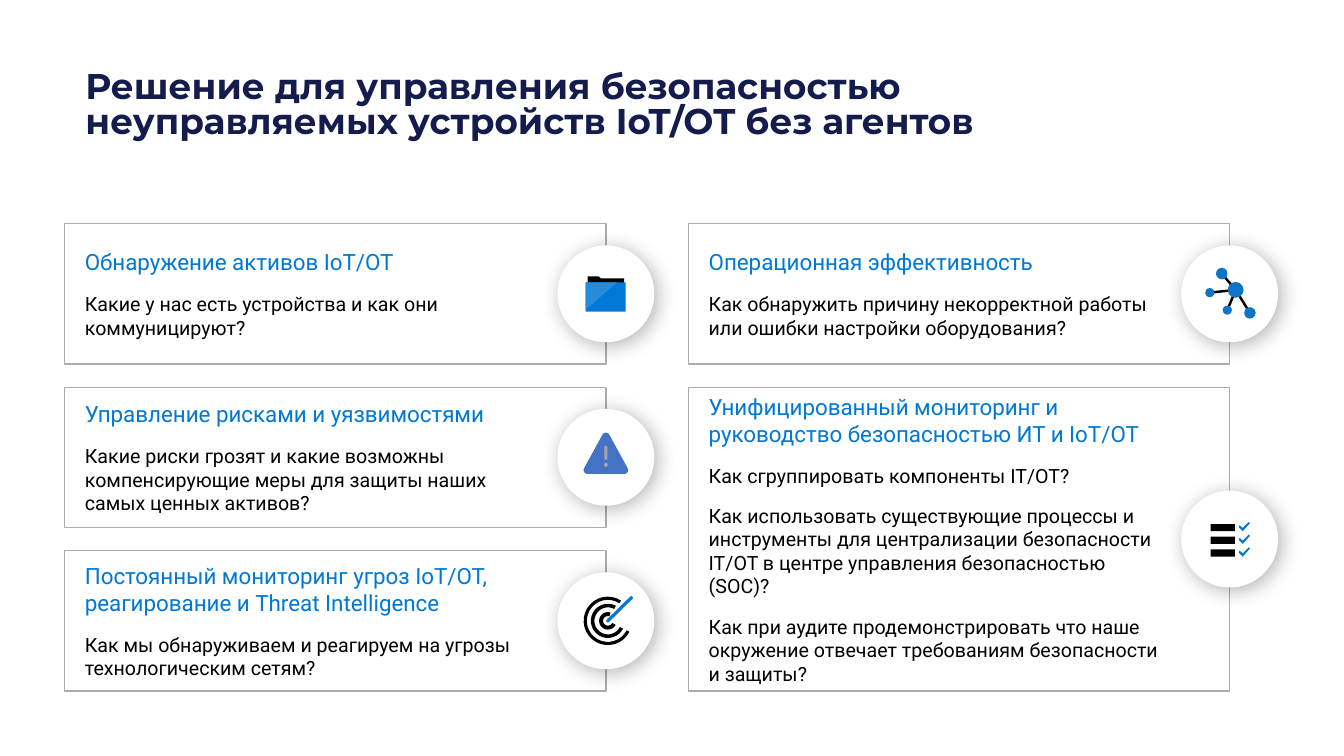
from math import cos, radians, sin

from pptx import Presentation
from pptx.dml.color import RGBColor
from pptx.enum.shapes import MSO_CONNECTOR, MSO_SHAPE as Shape
from pptx.enum.text import MSO_ANCHOR as Anchor, MSO_AUTO_SIZE, PP_ALIGN as Align
from pptx.oxml import parse_xml
from pptx.oxml.ns import nsdecls
from pptx.util import Cm, Pt

NAVY = RGBColor(0x14, 0x1B, 0x4D)
BLUE = RGBColor(0x00, 0x78, 0xD4)
FOLDER_BLUE = RGBColor(0x00, 0x78, 0xD7)
LIGHT_BLUE = RGBColor(0x26, 0x8C, 0xDA)
NODE_BLUE = RGBColor(0x0F, 0x74, 0xC4)
WARNING_BLUE = RGBColor(0x44, 0x72, 0xC4)
BLACK = RGBColor(0x00, 0x00, 0x00)
WHITE = RGBColor(0xFF, 0xFF, 0xFF)
GRAY = RGBColor(0xA5, 0xA5, 0xA5)
BORDER = RGBColor(0xAF, 0xAB, 0xAB)

SHADOW = (f'<a:outerShdw {nsdecls("a")} blurRad="{Pt(15)}" dist="{Pt(3)}" dir="2700000" '
          'algn="tl" rotWithShape="0"><a:srgbClr val="000000"><a:alpha val="30000"/>'
          '</a:srgbClr></a:outerShdw>')

# Card grid, in cm
COLUMNS = (1.63, 17.35)
TOP, PITCH = 5.64, 4.12
CARD_W, CARD_H = 13.64, 3.53
BADGE = 2.44


def arc(cx, cy, radius, start, end, steps=24):
    """Points on a circle from start to end degrees, clockwise on the slide."""
    angles = [radians(start + (end - start) * i / steps) for i in range(steps + 1)]
    return [(cx + radius * cos(a), cy + radius * sin(a)) for a in angles]


class Deck:
    title_font, text_font = "Montserrat", "Roboto"

    def __init__(self):
        self.prs = Presentation()
        self.prs.slide_width, self.prs.slide_height = Cm(33.87), Cm(19.05)
        self.s = self.prs.slides.add_slide(self.prs.slide_layouts[5])
        self.shapes = self.s.shapes
        self.x = self.y = 0

    def title(self, text):
        sp = self.s.shapes.title
        sp.left, sp.top, sp.width, sp.height = Cm(1.9), Cm(1.7), Cm(25.4), Cm(2.29)
        tf = sp.text_frame
        tf.text = text
        tf.word_wrap, tf.auto_size = True, MSO_AUTO_SIZE.NONE
        tf.vertical_anchor = Anchor.TOP
        p = tf.paragraphs[0]
        p.alignment, p.line_spacing, p.space_before = Align.LEFT, 0.8, Pt(0)
        p.font.name, p.font.size, p.font.bold = self.title_font, Pt(25.5), True
        p.font.color.rgb = NAVY

    def paint(self, sp, fill):
        sp.shadow.inherit = False
        sp.fill.solid()
        sp.fill.fore_color.rgb = fill
        sp.line.fill.background()
        return sp

    def shape(self, kind, left, top, width, height, fill):
        """Preset shape placed relative to the current centre."""
        sp = self.shapes.add_shape(kind, Cm(self.x + left), Cm(self.y + top),
                                   Cm(width), Cm(height))
        return self.paint(sp, fill)

    def dot(self, cx, cy, size, fill):
        return self.shape(Shape.OVAL, cx - size / 2, cy - size / 2, size, size, fill)

    def polygon(self, points, fill):
        points = [(Cm(self.x + px), Cm(self.y + py)) for px, py in points]
        builder = self.shapes.build_freeform(*points[0], scale=1.0)
        builder.add_line_segments(points[1:], close=True)
        return self.paint(builder.convert_to_shape(), fill)

    def line(self, start, end, color):
        c = self.shapes.add_connector(
            MSO_CONNECTOR.STRAIGHT, Cm(self.x + start[0]), Cm(self.y + start[1]),
            Cm(self.x + end[0]), Cm(self.y + end[1]))
        c.line.color.rgb, c.line.width = color, Pt(1.75)
        c._element.spPr.append(parse_xml(f'<a:effectLst {nsdecls("a")}/>'))

    def card(self, column, row, span, heading, questions, icon):
        left, top = COLUMNS[column], TOP + PITCH * row
        height = CARD_H + PITCH * (span - 1)
        self.shapes = self.s.shapes.add_group_shape().shapes
        self.x = self.y = 0
        sp = self.shape(Shape.RECTANGLE, left, top, CARD_W, height, WHITE)
        sp.line.color.rgb, sp.line.width = BORDER, Pt(1)
        tf = sp.text_frame
        tf.word_wrap, tf.vertical_anchor = True, Anchor.MIDDLE
        tf.margin_left, tf.margin_right = Cm(0.51), Cm(1.52)
        tf.margin_top = tf.margin_bottom = Cm(0.41)
        for i, text in enumerate([heading, *questions]):
            p = tf.add_paragraph() if i else tf.paragraphs[0]
            p.text = text
            p.alignment, p.space_after = Align.LEFT, Pt(12)
            p.font.name, p.font.size = self.text_font, Pt(14 if i else 16)
            p.font.color.rgb = BLACK if i else BLUE

        # Round badge centred on the right edge
        self.x, self.y = left + CARD_W, top + height / 2
        badge = self.dot(0, 0, BADGE, WHITE)
        badge._element.spPr.effectLst.append(parse_xml(SHADOW))
        icon(self)


def folder_icon(d):
    d.polygon([(-0.46, -0.44), (-0.18, -0.44), (-0.13, -0.39), (0.46, -0.39),
               (0.46, 0.22), (-0.46, 0.22)], BLACK)
    d.shape(Shape.RECTANGLE, -0.51, -0.29, 1.01, 0.74, FOLDER_BLUE)
    d.shape(Shape.RIGHT_TRIANGLE, -0.46, -0.34, 0.69, 0.79, LIGHT_BLUE).rotation = 90


def warning_icon(d):
    d.polygon(arc(0, -0.52, 0.1, 210, 330) + arc(0.46, 0.32, 0.1, -30, 90)
              + arc(-0.46, 0.32, 0.1, 90, 210), WARNING_BLUE)
    d.shape(Shape.RECTANGLE, -0.04, -0.29, 0.08, 0.35, GRAY)
    d.dot(0, 0.19, 0.1, GRAY)


def radar_icon(d):
    for outer, inner, end in ((0.22, 0.12, 288), (0.61, 0.53, 303), (0.43, 0.34, 298)):
        d.polygon(arc(0.05, 0, outer, 27, end) + arc(0.05, 0, inner, end, 27), BLACK)
    d.polygon(arc(0.05, 0, 0.04, 45, 225) + arc(0.64, -0.58, 0.04, 225, 405), BLUE)


def network_icon(d):
    hub = (0.15, -0.1)
    nodes = (((-0.2, -0.51), 0.29), ((0.51, 0.48), 0.29),
             ((-0.06, 0.41), 0.23), ((-0.5, -0.03), 0.23))
    for node, _ in nodes:
        d.line(hub, node, BLACK)
    for centre, size in ((hub, 0.4), *nodes):
        d.dot(*centre, size, NODE_BLUE)


def checklist_icon(d):
    tick = ((0.48, -0.05), (0.33, 0.1), (0.25, 0.03), (0.23, 0.08),
            (0.33, 0.18), (0.51, -0.02))
    for i in range(3):
        top = -0.38 + 0.32 * i
        d.shape(Shape.RECTANGLE, -0.48, top, 0.61, 0.18, BLACK)
        d.polygon([(px, py + top) for px, py in tick], BLUE)


# Column, row, rows spanned, heading, questions, icon
CARDS = (
    (0, 0, 1, "Обнаружение активов IoT/OT",
     ["Какие у нас есть устройства и как они коммуницируют?"], folder_icon),
    (0, 1, 1, "Управление рисками и уязвимостями",
     ["Какие риски грозят и какие возможны компенсирующие меры для защиты наших "
      "самых ценных активов?"], warning_icon),
    (0, 2, 1, "Постоянный мониторинг угроз IoT/OT,\vреагирование и Threat Intelligence",
     ["Как мы обнаруживаем и реагируем на угрозы технологическим сетям?"], radar_icon),
    (1, 0, 1, "Операционная эффективность",
     ["Как обнаружить причину некорректной работы или ошибки настройки оборудования?"],
     network_icon),
    (1, 1, 2, "Унифицированный мониторинг и руководство безопасностью ИТ и IoT/OT",
     ["Как сгруппировать компоненты IT/OT?",
      "Как использовать существующие процессы и инструменты для централизации "
      "безопасности IT/OT в центре управления безопасностью (SOC)?",
      "Как при аудите продемонстрировать что наше окружение отвечает требованиям "
      "безопасности и защиты?"], checklist_icon),
)


def main():
    deck = Deck()
    deck.title("Решение для управления безопасностью неуправляемых устройств "
               "IoT/OT без агентов")
    for card in CARDS:
        deck.card(*card)
    deck.prs.save("out.pptx")


if __name__ == "__main__":
    main()
